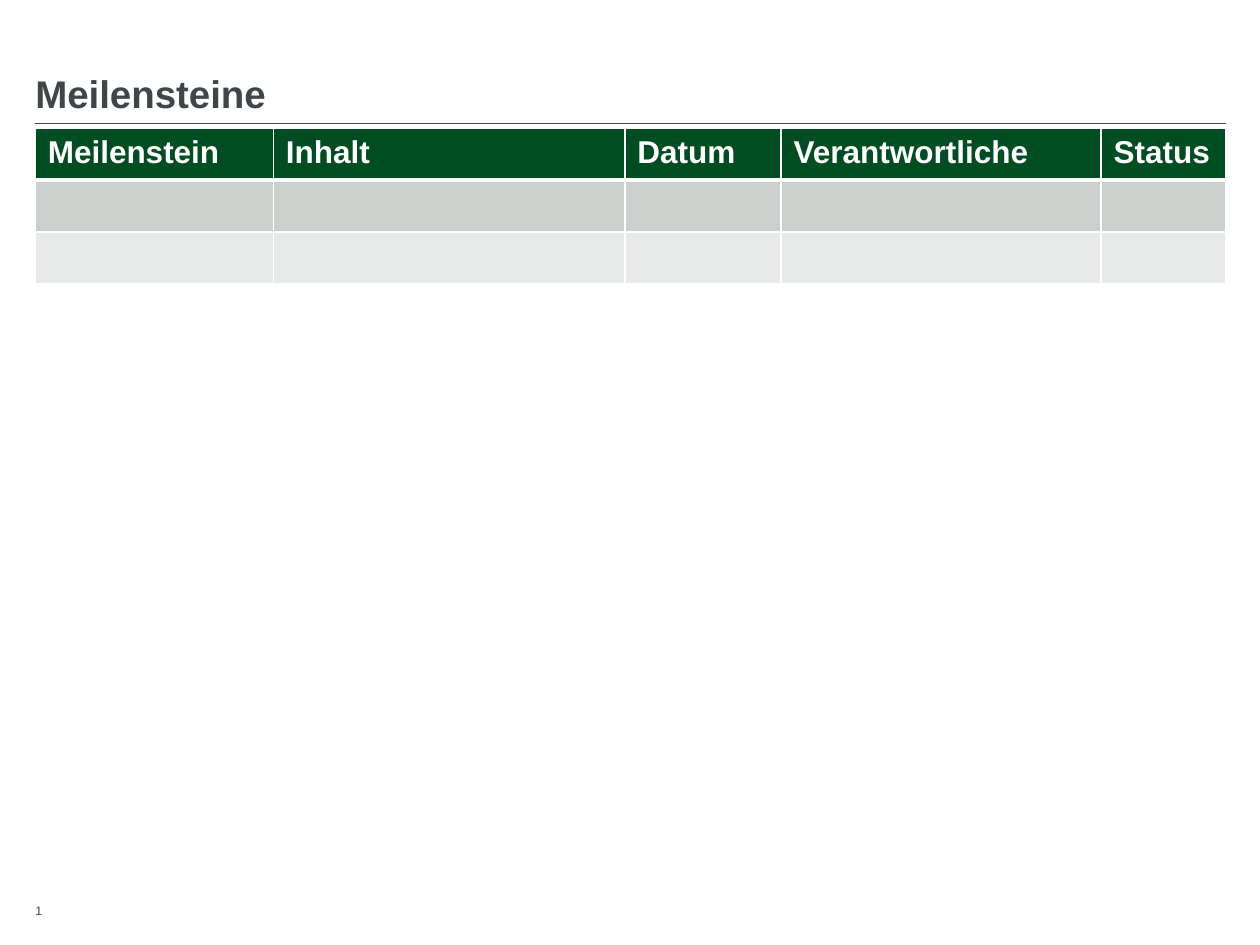
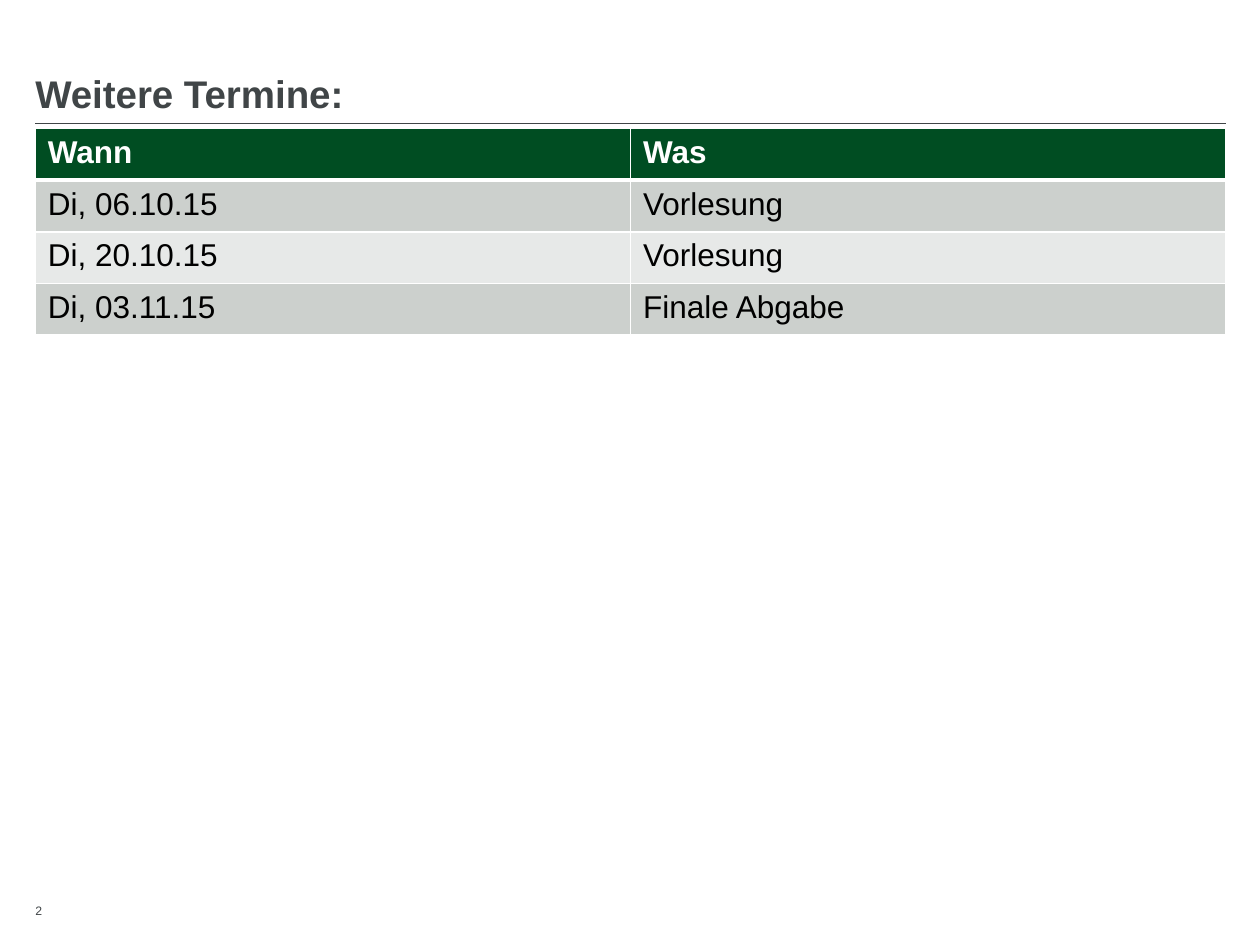
from dataclasses import dataclass

from lxml.etree import SubElement
from pptx import Presentation
from pptx.dml.color import RGBColor
from pptx.enum.shapes import MSO_CONNECTOR
from pptx.enum.text import MSO_ANCHOR, PP_ALIGN
from pptx.oxml.ns import qn
from pptx.util import Inches, Pt


@dataclass(frozen=True)
class Theme:
    font: str = "Arial"
    ink: str = "404547"
    body: str = "000000"
    white: str = "FFFFFF"
    header: str = "004D22"
    bands: tuple = ("CCD0CD", "E7E9E8")
    title_size: float = 22
    table_size: float = 18
    number_size: float = 7
    rule_width: float = 0.5
    border: float = 1
    header_border: float = 3


@dataclass(frozen=True)
class Box:
    left: float
    top: float
    width: float
    height: float

    def lengths(self):
        return [Inches(n) for n in (self.left, self.top, self.width, self.height)]


THEME = Theme()
TITLE_BOX = Box(0.28, 0.55, 9.45, 0.37)
TABLE_BOX = Box(0.28, 1.02, 9.45, 0.41)  # height of one row
NUMBER_BOX = Box(0.28, 7.17, 0.39, 0.12)
RULE_GAP = 0.06


def add_span(para, text, size, color, bold=False):
    span = para.add_run()
    span.text = text
    span.font.name = THEME.font
    span.font.size = Pt(size)
    span.font.bold = bold
    span.font.color.rgb = RGBColor.from_string(color)


def clear_margins(frame):
    frame.margin_left = frame.margin_right = 0
    frame.margin_top = frame.margin_bottom = 0


def add_title(page, box, text):
    # Title placeholder
    title = page.shapes.title
    title.left, title.top, title.width, title.height = box.lengths()
    frame = title.text_frame
    clear_margins(frame)
    frame.word_wrap = True
    frame.vertical_anchor = MSO_ANCHOR.BOTTOM
    para = frame.paragraphs[0]
    para.alignment = PP_ALIGN.LEFT
    add_span(para, text, THEME.title_size, THEME.ink, bold=True)

    # Rule below the title
    left, top, width, height = box.lengths()
    rule_top = top + height + Inches(RULE_GAP)
    rule = page.shapes.add_connector(
        MSO_CONNECTOR.STRAIGHT, left, rule_top, left + width, rule_top)
    rule.line.color.rgb = RGBColor.from_string(THEME.ink)
    rule.line.width = Pt(THEME.rule_width)
    SubElement(rule._element.spPr, qn("a:effectLst"))


def add_page_number(page, box, number):
    frame = page.shapes.add_textbox(*box.lengths()).text_frame
    clear_margins(frame)
    frame.word_wrap = False
    add_span(frame.paragraphs[0], str(number), THEME.number_size, THEME.ink)


def set_borders(cell, top, bottom):
    properties = cell._tc.get_or_add_tcPr()
    widths = {"lnL": THEME.border, "lnR": THEME.border, "lnT": top, "lnB": bottom}
    for side, width in widths.items():
        line = SubElement(properties, qn(f"a:{side}"), w=str(Pt(width)))
        fill = SubElement(line, qn("a:solidFill"))
        SubElement(fill, qn("a:srgbClr"), val=THEME.white)


def add_grid(page, box, column_widths, rows):
    left, top, width, row_height = box.lengths()
    table = page.shapes.add_table(
        len(rows), len(column_widths), left, top, width, row_height * len(rows)).table
    for column, column_width in zip(table.columns, column_widths):
        column.width = Inches(column_width)

    for r, texts in enumerate(rows):
        table.rows[r].height = row_height
        is_header = r == 0
        fill = THEME.header if is_header else THEME.bands[(r - 1) % 2]
        color = THEME.white if is_header else THEME.body
        # The heavy border lies between the header and the first row
        top_border = THEME.header_border if r == 1 else THEME.border
        bottom_border = THEME.header_border if is_header else THEME.border
        for c, text in enumerate(texts):
            cell = table.cell(r, c)
            set_borders(cell, top_border, bottom_border)
            cell.fill.solid()
            cell.fill.fore_color.rgb = RGBColor.from_string(fill)
            para = cell.text_frame.paragraphs[0]
            para.font.size = Pt(THEME.table_size)
            if text:
                add_span(para, text, THEME.table_size, color, bold=is_header)


def add_table_page(deck, title, column_widths, rows):
    page = deck.slides.add_slide(deck.slide_layouts.get_by_name("Title Only"))
    add_title(page, TITLE_BOX, title)
    add_grid(page, TABLE_BOX, column_widths, rows)
    add_page_number(page, NUMBER_BOX, len(deck.slides))


def main():
    deck = Presentation()
    deck.slide_width, deck.slide_height = Inches(10), Inches(7.5)

    # Milestones, with two rows left to fill in
    headings = ["Meilenstein", "Inhalt", "Datum", "Verantwortliche", "Status"]
    blank_row = [""] * len(headings)
    add_table_page(deck, "Meilensteine", [1.89, 2.79, 1.24, 2.54, 0.99],
                   [headings, blank_row, blank_row])

    # Further dates
    add_table_page(deck, "Weitere Termine:", [TABLE_BOX.width / 2] * 2, [
        ["Wann", "Was"],
        ["Di, 06.10.15", "Vorlesung"],
        ["Di, 20.10.15", "Vorlesung"],
        ["Di, 03.11.15", "Finale Abgabe"],
    ])

    deck.save("out.pptx")


if __name__ == "__main__":
    main()
